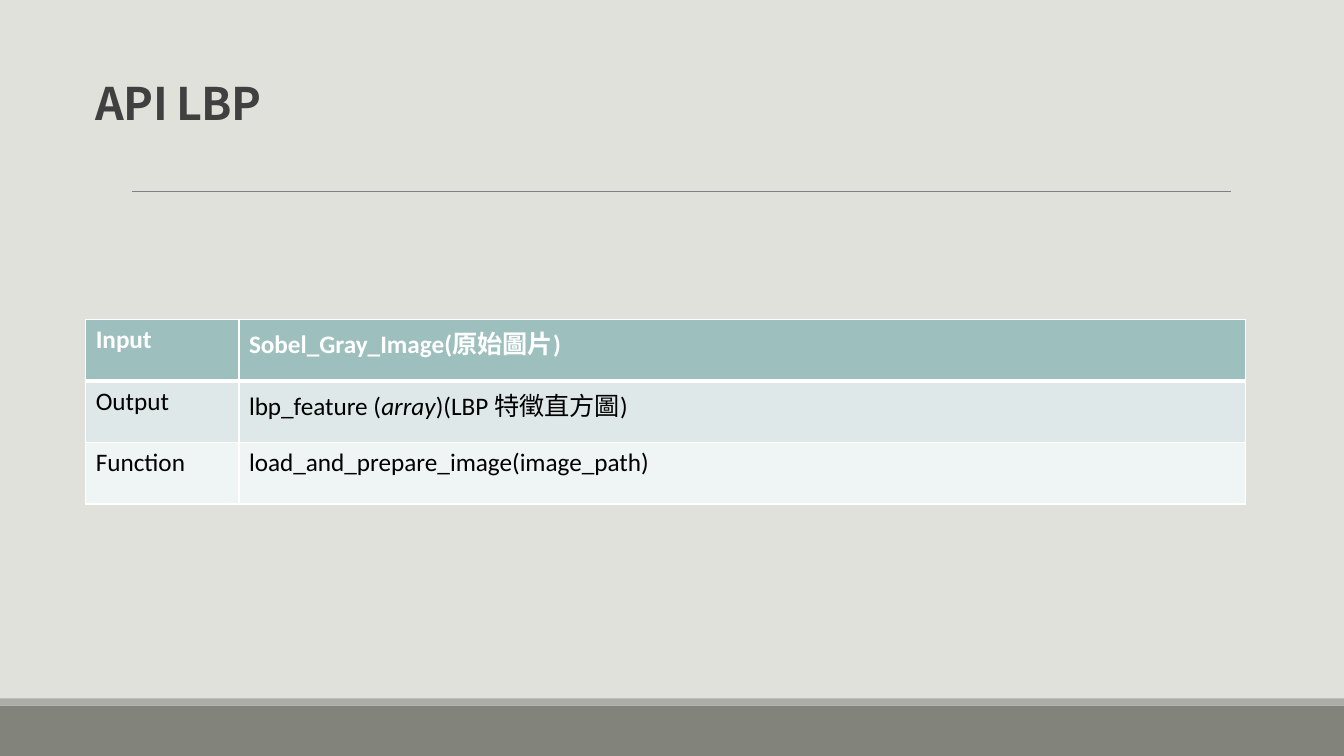
import pptx
import pptx.util
import pptx.dml.color
import pptx.enum.shapes
import pptx.enum.text
import pptx.oxml
import pptx.oxml.ns

RGB = pptx.dml.color.RGBColor
PAPER = RGB(0xE1, 0xE1, 0xDB)
BAND = RGB(0x82, 0x84, 0x7C)
STRIP = RGB(0xAC, 0xAD, 0xA8)
RULE = RGB(0x80, 0x80, 0x80)
DARK = RGB(0x40, 0x40, 0x40)
WHITE = RGB(0xFF, 0xFF, 0xFF)
BLACK = RGB(0, 0, 0)
FILLS = [RGB(0x9D, 0xBF, 0xBE), RGB(0xDF, 0xE8, 0xE8), RGB(0xEF, 0xF4, 0xF4)]

WIDE, HIGH = 13.33, 7.5
LEFT, SPAN = 0.85, 11.5
TOP, ROW = 3.17, 0.61
COLS = [1.52, 9.98]
SANS, CJK = "Calibri", "Noto Sans CJK SC"

# Each cell is a list of (text, italic) runs.
ROWS = [
    [[("Input", False)], [("Sobel_Gray_Image(原始圖片)", False)]],
    [[("Output", False)],
     [("lbp_feature (", False), ("array", True), (")(LBP 特徵直方圖)", False)]],
    [[("Function", False)], [("load_and_prepare_image(image_path)", False)]],
]


def inches(*sizes):
    return [pptx.util.Inches(size) for size in sizes]


def style(run, face, size, color, bold):
    font = run.font
    font.name, font.size, font.bold = face, pptx.util.Pt(size), bold
    font.color.rgb = color
    props = run._r.get_or_add_rPr()
    east = pptx.oxml.parse_xml(
        f'<a:ea {pptx.oxml.ns.nsdecls("a")} typeface="{CJK}"/>')
    props.find(pptx.oxml.ns.qn("a:latin")).addnext(east)
    return props


def add_band(slide, top, tall, color):
    band = slide.shapes.add_shape(
        pptx.enum.shapes.MSO_SHAPE.RECTANGLE, *inches(0, top, WIDE, tall))
    band.shadow.inherit = False
    band.fill.solid()
    band.fill.fore_color.rgb = color
    band.line.fill.background()


def add_rule(slide, start, end, top):
    rule = slide.shapes.add_connector(
        pptx.enum.shapes.MSO_CONNECTOR.STRAIGHT, *inches(start, top, end, top))
    rule.line.color.rgb = RULE
    rule.line.width = pptx.util.Pt(0.5)
    rule._element.spPr.append(pptx.oxml.parse_xml(
        f'<a:effectLst {pptx.oxml.ns.nsdecls("a")}/>'))


def set_title(slide, text):
    title = slide.shapes.title
    title.left, title.top, title.width, title.height = inches(LEFT, 0.54, SPAN, 0.8)
    frame = title.text_frame
    frame.text = text
    frame.word_wrap = True
    frame.auto_size = pptx.enum.text.MSO_AUTO_SIZE.NONE
    frame.vertical_anchor = pptx.enum.text.MSO_ANCHOR.BOTTOM
    para = frame.paragraphs[0]
    para.alignment = pptx.enum.text.PP_ALIGN.LEFT
    para.line_spacing = 0.85
    style(para.runs[0], CJK, 32, DARK, True).set("spc", "-50")


def set_edges(cell, above, below):
    """Draw white cell borders; above and below are widths in points."""
    props = cell._tc.get_or_add_tcPr()
    for side, width in zip("LRTB", (1, 1, above, below)):
        props.append(pptx.oxml.parse_xml(
            f'<a:ln{side} {pptx.oxml.ns.nsdecls("a")} w="{pptx.util.Pt(width)}">'
            f'<a:solidFill><a:srgbClr val="{WHITE}"/></a:solidFill></a:ln{side}>'))


def fill_cell(cell, parts, row):
    head = row == 0
    para = cell.text_frame.paragraphs[0]
    for text, slant in parts:
        run = para.add_run()
        run.text = text
        style(run, SANS, 18, WHITE if head else BLACK, head)
        run.font.italic = slant
    set_edges(cell, 3 if row == 1 else 1, 3 if head else 1)
    cell.fill.solid()
    cell.fill.fore_color.rgb = FILLS[row]


def add_grid(slide):
    table = slide.shapes.add_table(
        len(ROWS), len(COLS), *inches(LEFT, TOP, SPAN, ROW * len(ROWS))).table
    for col, width in zip(table.columns, inches(*COLS)):
        col.width = width
    for row, cells in enumerate(ROWS):
        table.rows[row].height = pptx.util.Inches(ROW)
        for col, parts in enumerate(cells):
            fill_cell(table.cell(row, col), parts, row)


def main():
    deck = pptx.Presentation()
    deck.slide_width, deck.slide_height = inches(WIDE, HIGH)
    slide = deck.slides.add_slide(deck.slide_layouts.get_by_name("Title Only"))
    slide.background.fill.solid()
    slide.background.fill.fore_color.rgb = PAPER
    add_band(slide, 7, 0.5, BAND)
    add_band(slide, 6.93, 0.07, STRIP)
    add_rule(slide, 1.31, 12.21, 1.9)
    set_title(slide, "API LBP")
    add_grid(slide)
    deck.save("out.pptx")


if __name__ == "__main__":
    main()
